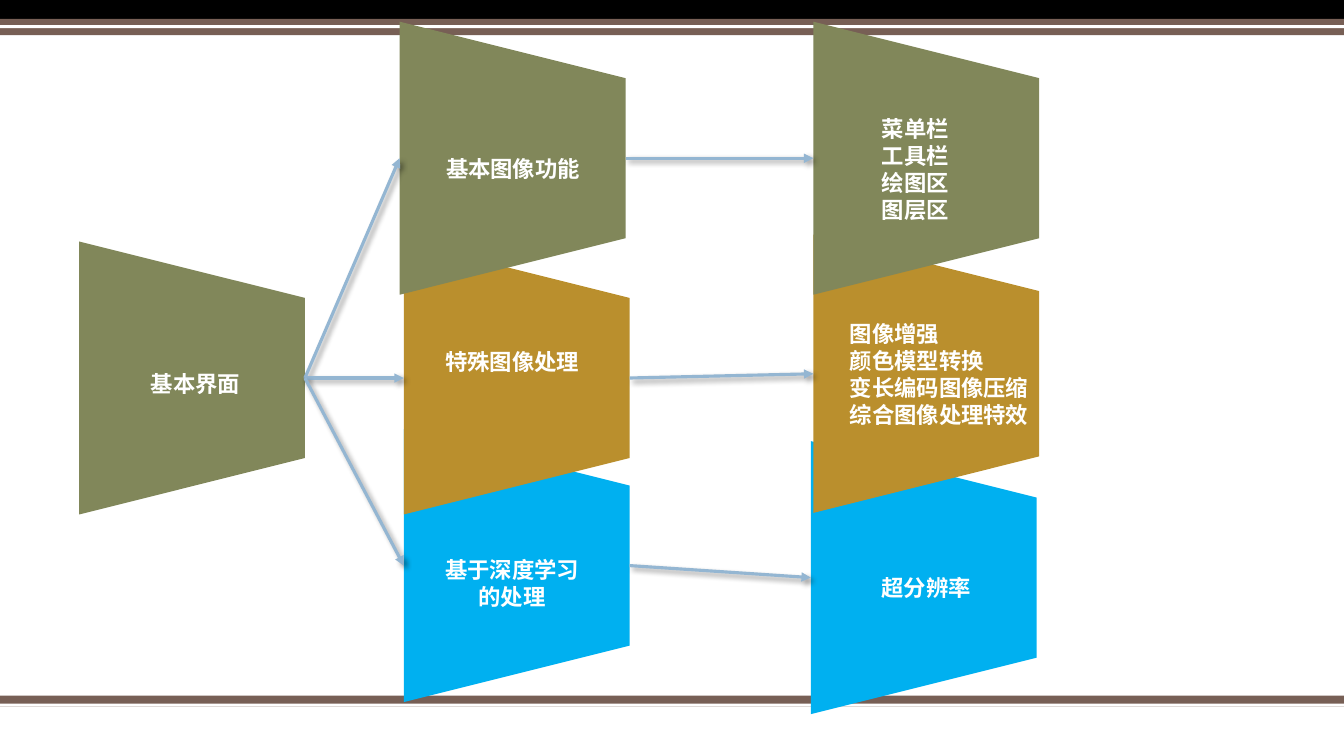
from pptx import Presentation
from pptx.dml.color import RGBColor
from pptx.enum.shapes import MSO_CONNECTOR, MSO_SHAPE
from pptx.enum.text import PP_ALIGN
from pptx.oxml import parse_xml
from pptx.oxml.ns import nsdecls, qn
from pptx.util import Pt

RECTANGLE, TRAPEZOID = MSO_SHAPE.RECTANGLE, MSO_SHAPE.TRAPEZOID
STRAIGHT = MSO_CONNECTOR.STRAIGHT
LEFT, CENTER = PP_ALIGN.LEFT, PP_ALIGN.CENTER

SLIDE_WIDTH, SLIDE_HEIGHT = 960, 540
BLACK, WHITE, BROWN, ARROW = "000000", "FFFFFF", "775F55", "94B6D2"
OLIVE, GOLD, BLUE = "81875A", "BA8F2D", "00B0F0"
NODE_WIDTH = 161.3

SHADOW = f"""<a:effectLst {nsdecls("a")}>
<a:outerShdw blurRad="50800" dist="38100" dir="2700000" algn="tl" rotWithShape="0">
<a:srgbClr val="{BLACK}"><a:alpha val="40000"/></a:srgbClr></a:outerShdw></a:effectLst>"""


def color(value):
    return RGBColor.from_string(value)


class Diagram:
    """Style and drawing methods for one slide; all lengths are points."""

    font = "Noto Sans CJK SC"
    size = 16
    line_height = 19.2

    def __init__(self, slide):
        self.shapes = slide.shapes

    def shape(self, kind, left, top, width, height, fill):
        shape = self.shapes.add_shape(kind, Pt(left), Pt(top), Pt(width), Pt(height))
        shape.shadow.inherit = False
        shape.fill.solid()
        shape.fill.fore_color.rgb = color(fill)
        shape.line.fill.background()
        return shape

    def band(self, top, height, fill):
        self.shape(RECTANGLE, 0, top, SLIDE_WIDTH, height, fill)

    def node(self, left, middle, height, fill):
        # The trapezoid lies on its side, so its own width is the visible height
        center = left + NODE_WIDTH / 2
        node = self.shape(TRAPEZOID, center - height / 2, middle - NODE_WIDTH / 2,
                          height, NODE_WIDTH, fill)
        node.rotation = 90

    def label(self, left, top, width, lines, align):
        box = self.shapes.add_textbox(Pt(left), Pt(top), Pt(width),
                                      Pt(self.line_height * len(lines)))
        frame = box.text_frame
        frame.word_wrap = True
        frame.margin_left = frame.margin_right = 0
        frame.margin_top = frame.margin_bottom = 0
        frame.text = "\n".join(lines)
        for paragraph in frame.paragraphs:
            paragraph.alignment = align
            paragraph.line_spacing = Pt(self.line_height)
            font = paragraph.font
            font.size, font.bold, font.name = Pt(self.size), True, self.font
            font.color.rgb = color(WHITE)
            # East Asian text takes its typeface from a:ea
            defaults = paragraph._p.pPr.find(qn("a:defRPr"))
            defaults.append(parse_xml(f'<a:ea {nsdecls("a")} typeface="{self.font}"/>'))

    def arrow(self, x1, y1, x2, y2):
        arrow = self.shapes.add_connector(STRAIGHT, Pt(x1), Pt(y1), Pt(x2), Pt(y2))
        arrow.line.color.rgb = color(ARROW)
        arrow.line.width = Pt(2.25)
        properties = arrow._element.spPr
        properties.find(qn("a:ln")).append(
            parse_xml(f'<a:tailEnd {nsdecls("a")} type="triangle"/>'))
        properties.append(parse_xml(SHADOW))


# Name: left, middle, height, fill; listed from back to front
NODES = {
    "resolution": (579.2, 412.6, 195, BLUE),
    "learning": (288.4, 404, 195, BLUE),
    "interface": (56.5, 270, 195, OLIVE),
    "special": (288.4, 270, 195, GOLD),
    "basic": (285.5, 113, 195, OLIVE),
    "effects": (581, 267, 198.7, GOLD),
    "areas": (581, 113, 195, OLIVE),
}
LINKS = [
    ("basic", "areas"), ("special", "effects"), ("learning", "resolution"),
    ("interface", "basic"), ("interface", "special"), ("interface", "learning"),
]
# Left, top, width, lines, alignment
LABELS = [
    (85.7, 264.5, 108, ["基本界面"], CENTER),
    (311.8, 248.5, 108, ["特殊图像处理"], CENTER),
    (312.5, 111, 108, ["基本图像功能"], CENTER),
    (607, 229, 134.6, ["图像增强", "颜色模型转换", "变长编码图像压缩", "综合图像处理特效"], LEFT),
    (599.8, 82.5, 108, ["菜单栏", "工具栏", "绘图区", "图层区"], CENTER),
    (311.8, 397.5, 108, ["基于深度学习的处理"], CENTER),
    (607.7, 410, 108, ["超分辨率"], CENTER),
]
# Top, height, fill
BANDS = [
    (496.8, 7.9, BROWN), (502.6, 2.2, WHITE),
    (0, 13.5, BLACK), (13.5, 11.7, BROWN), (18, 2.2, WHITE),
]


def main():
    deck = Presentation()
    deck.slide_width, deck.slide_height = Pt(SLIDE_WIDTH), Pt(SLIDE_HEIGHT)
    diagram = Diagram(deck.slides.add_slide(deck.slide_layouts[6]))

    # Top and bottom bands
    for band in BANDS:
        diagram.band(*band)

    # Nodes and their labels
    for node in NODES.values():
        diagram.node(*node)
    for label in LABELS:
        diagram.label(*label)

    # Arrows from the right edge of one node to the left edge of the next
    for source, target in LINKS:
        start_left, start_middle, *_ = NODES[source]
        end_left, end_middle, *_ = NODES[target]
        diagram.arrow(start_left + NODE_WIDTH, start_middle, end_left, end_middle)

    deck.save("out.pptx")


if __name__ == "__main__":
    main()
